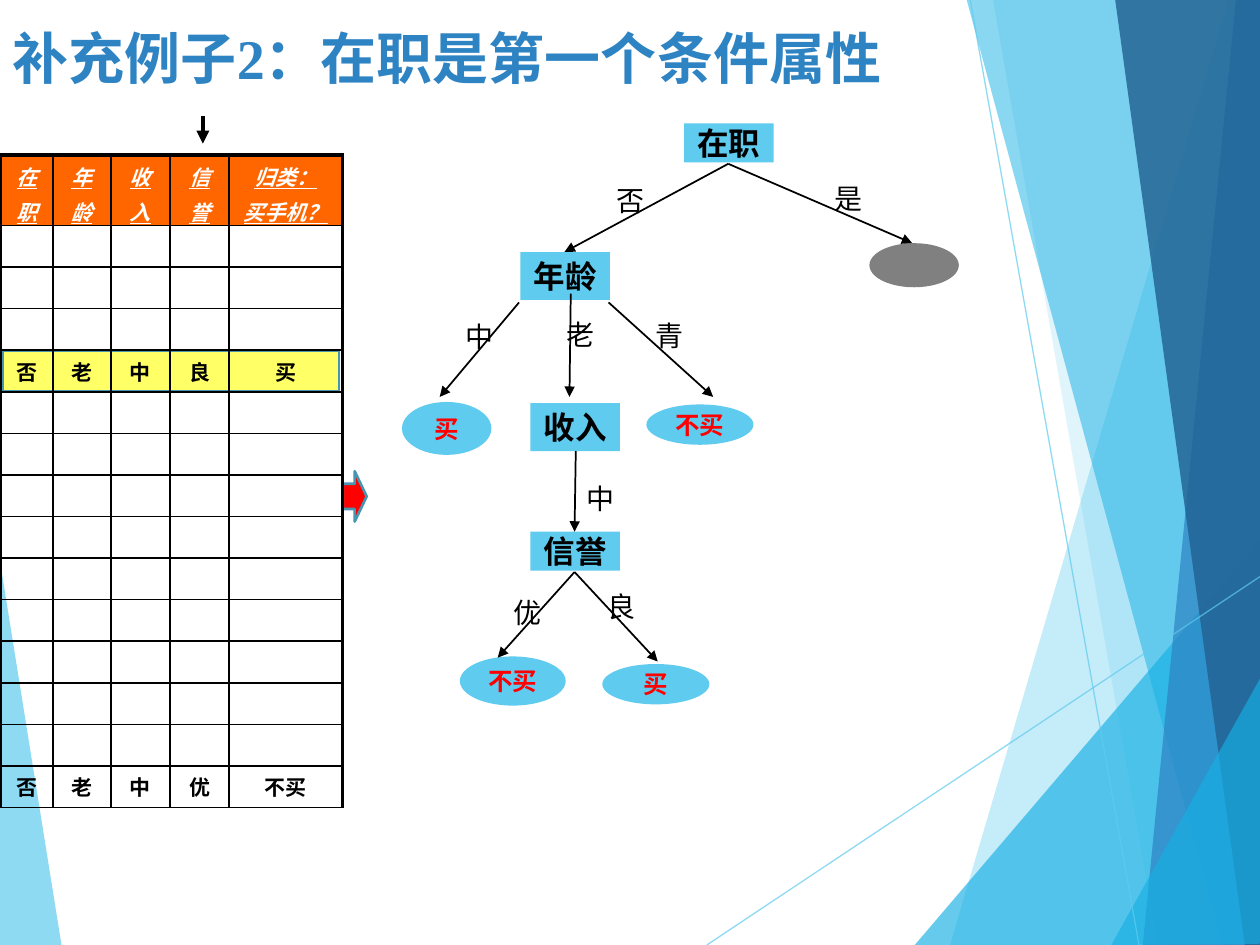
from pptx import Presentation
from pptx import util as u
from pptx.dml.color import RGBColor
from pptx.enum import shapes, text
from pptx.oxml.ns import qn
from lxml import etree

"""Decision tree slide, laid out on a grid of 1000 columns by 750 rows."""

SKY = RGBColor(0x5F, 0xCB, 0xEF)
CYAN = RGBColor(0x17, 0xB0, 0xE4)
BLUE = RGBColor(0x2E, 0x83, 0xC3)
NAVY = RGBColor(0x22, 0x62, 0x92)
TEAL = RGBColor(0x46, 0x96, 0xB1)
RED = RGBColor(0xFF, 0, 0)
ORANGE = RGBColor(0xFF, 0x66, 0)
YELLOW = RGBColor(0xFF, 0xFF, 0)
GRAY = RGBColor(0x80, 0x80, 0x80)
BLACK = RGBColor(0, 0, 0)
WHITE = RGBColor(0xFF, 0xFF, 0xFF)

TITLE = "补充例子2：在职是第一个条件属性"
HEAD = ["在\n职", "年\n龄", "收\n入", "信\n誉", "归类：\n买手机？"]
ROWS = {4: ["否", "老", "中", "良", "买"], 14: ["否", "老", "中", "优", "不买"]}
COLS = [41, 46, 47, 47, 90]
TALL, LOW, COUNT = 56, 33, 15
LEFT, TOP = 1, 123

FACETS = [
    ([(-1, 439), (49, 751), (-1, 750)], SKY, 70),
    ([(975, 0), (754, 750), (1002, 751), (1001, 1)], SKY, 36),
    ([(788, -1), (919, 750), (1001, 750), (1001, -1)], SKY, 20),
    ([(726, 750), (1000, 429), (1001, 750)], CYAN, 66),
    ([(767, -1), (970, 750), (1001, 749), (1001, -1)], CYAN, 50),
    ([(981, -1), (907, 750), (1001, 750), (1000, -1)], BLUE, 70),
    ([(885, -1), (988, 750), (1002, 750), (1000, -1)], NAVY, 82),
    ([(882, 750), (1002, 535), (1002, 749)], CYAN, 66),
]
RAYS = [(561, 750, 1001, 457), (770, 0, 904, 750)]
TESTS = [("在职", 543, 98, 31), ("年龄", 413, 200, 38),
         ("收入", 421, 320, 38), ("信誉", 421, 422, 31)]
LEAVES = [("买", 319, 319, 71, 42), ("不买", 513, 321, 85, 32),
          ("不买", 365, 521, 84, 39), ("买", 478, 527, 85, 32)]
EDGES = [(578, 130, 448, 200), (578, 130, 724, 193), (412, 240, 349, 315),
         (483, 240, 566, 315), (453, 233, 452, 315), (457, 358, 456, 422),
         (456, 454, 395, 522), (456, 454, 522, 525)]
LABELS = [("否", 469, 141), ("是", 642, 139), ("中", 349, 249), ("青", 500, 248),
          ("老", 429, 247), ("中", 445, 377), ("良", 462, 463), ("优", 387, 468)]

deck = Presentation()
deck.slide_width, deck.slide_height = u.Inches(10), u.Inches(7.5)
UNIT = deck.slide_width // 1000
slide = deck.slides.add_slide(deck.slide_layouts[5])
parts = slide.shapes


def grid(*nums):
    return [n * UNIT for n in nums]


def fade(node, share):
    for clr in node.iter(qn("a:srgbClr")):
        etree.SubElement(clr, qn("a:alpha"), val=str(share * 1000))


def style(run, size, face, color, bold=False):
    font = run.font
    font.size, font.name, font.bold = u.Pt(size), face, bold
    font.color.rgb = color


def write(frame, words, size, face, color, bold=False):
    frame.text = words
    for para in frame.paragraphs:
        para.alignment = text.PP_ALIGN.CENTER
        for run in para.runs:
            style(run, size, face, color, bold)


def paint(shape, fill, edge=None):
    shape.shadow.inherit = False
    shape.fill.solid()
    shape.fill.fore_color.rgb = fill
    if edge:
        shape.line.color.rgb, shape.line.width = edge, u.Pt(1.5)
    else:
        shape.line.fill.background()
    return shape


def block(kind, spot, fill, edge=None):
    return paint(parts.add_shape(kind, *grid(*spot)), fill, edge)


def node(kind, words, spot, size, color):
    frame = block(kind, spot, SKY).text_frame
    write(frame, words, size, "Lato", color, True)
    frame.word_wrap = False
    frame.vertical_anchor = text.MSO_ANCHOR.MIDDLE


def link(ends, color, width, arrow=True):
    line = parts.add_connector(shapes.MSO_CONNECTOR.STRAIGHT, *grid(*ends))
    line.line.color.rgb, line.line.width = color, u.Pt(width)
    props = line._element.spPr
    if arrow:
        etree.SubElement(props.find(qn("a:ln")), qn("a:tailEnd"), type="triangle")
    etree.SubElement(props, qn("a:effectLst"))
    return line


def border(cell, widths):
    props = cell._tc.get_or_add_tcPr()
    for spot, (side, width) in enumerate(zip(("L", "R", "T", "B"), widths)):
        line = etree.Element(qn("a:ln" + side), w=str(u.Pt(width)))
        fill = etree.SubElement(line, qn("a:solidFill"))
        etree.SubElement(fill, qn("a:srgbClr"), val=str(BLACK))
        props.insert(spot, line)


def fill_table():
    spot = grid(LEFT, TOP, sum(COLS), TALL + LOW * (COUNT - 1))
    table = parts.add_table(COUNT, len(COLS), *spot).table
    table.first_row = table.horz_banding = False
    for col, width in zip(table.columns, COLS):
        col.width = width * UNIT
    for r, row in enumerate(table.rows):
        row.height = (LOW if r else TALL) * UNIT
        words = ROWS.get(r, [""] * len(COLS)) if r else HEAD
        for c, cell in enumerate(row.cells):
            cell.margin_top, cell.margin_bottom = (0 if r else 5 * UNIT), 0
            cell.vertical_anchor = text.MSO_ANCHOR.MIDDLE if r else text.MSO_ANCHOR.TOP
            cell.fill.background()
            face, color = ("Arial", BLACK) if r else ("Times New Roman", WHITE)
            write(cell.text_frame, words[c], 12, face, color, True)
            if not r:
                cell.fill.solid()
                cell.fill.fore_color.rgb = ORANGE
                for para in cell.text_frame.paragraphs:
                    for run in para.runs:
                        run.font.italic = run.font.underline = True
                cell.text_frame.paragraphs[1].space_before = u.Pt(2.4)
            border(cell, (1, 2.25 if c == len(COLS) - 1 else 1, 1 if r else 2.25, 1))


for points, color, share in FACETS:
    path = parts.build_freeform(*points[0], scale=UNIT)
    path.add_line_segments(points[1:])
    fade(paint(path.convert_to_shape(), color)._element.spPr, share)
for ends in RAYS:
    fade(link(ends, SKY, 0.75, False)._element.spPr, 70)

title = parts.title
title.left, title.top, title.width, title.height = grid(0, 19, 860, 53)
write(title.text_frame, TITLE, 32, "Times New Roman", BLUE, True)
title.text_frame.paragraphs[0].alignment = text.PP_ALIGN.LEFT
title.text_frame.vertical_anchor = text.MSO_ANCHOR.MIDDLE
parts._spTree.append(title._element)

block(shapes.MSO_SHAPE.RIGHT_ARROW, (272, 374, 19, 40), RED, TEAL)
link((161, 92, 161, 114), BLACK, 2.5)
band = block(shapes.MSO_SHAPE.RECTANGLE, (2, 278, 267, 33), YELLOW, TEAL)
fade(band._element.spPr.find(qn("a:solidFill")), 60)
block(shapes.MSO_SHAPE.OVAL, (690, 193, 71, 35), GRAY)
for words, x, y, high in TESTS:
    node(shapes.MSO_SHAPE.RECTANGLE, words, (x, y, 71, high), 18, BLACK)
for words, *spot in LEAVES:
    node(shapes.MSO_SHAPE.OVAL, words, spot, 14, RED)
for ends in EDGES:
    link(ends, BLACK, 1)
for words, x, y in LABELS:
    frame = parts.add_textbox(*grid(x, y, 63, 37)).text_frame
    frame.word_wrap = True
    write(frame, words, 16, "Times New Roman", BLACK)
fill_table()

deck.save("out.pptx")
